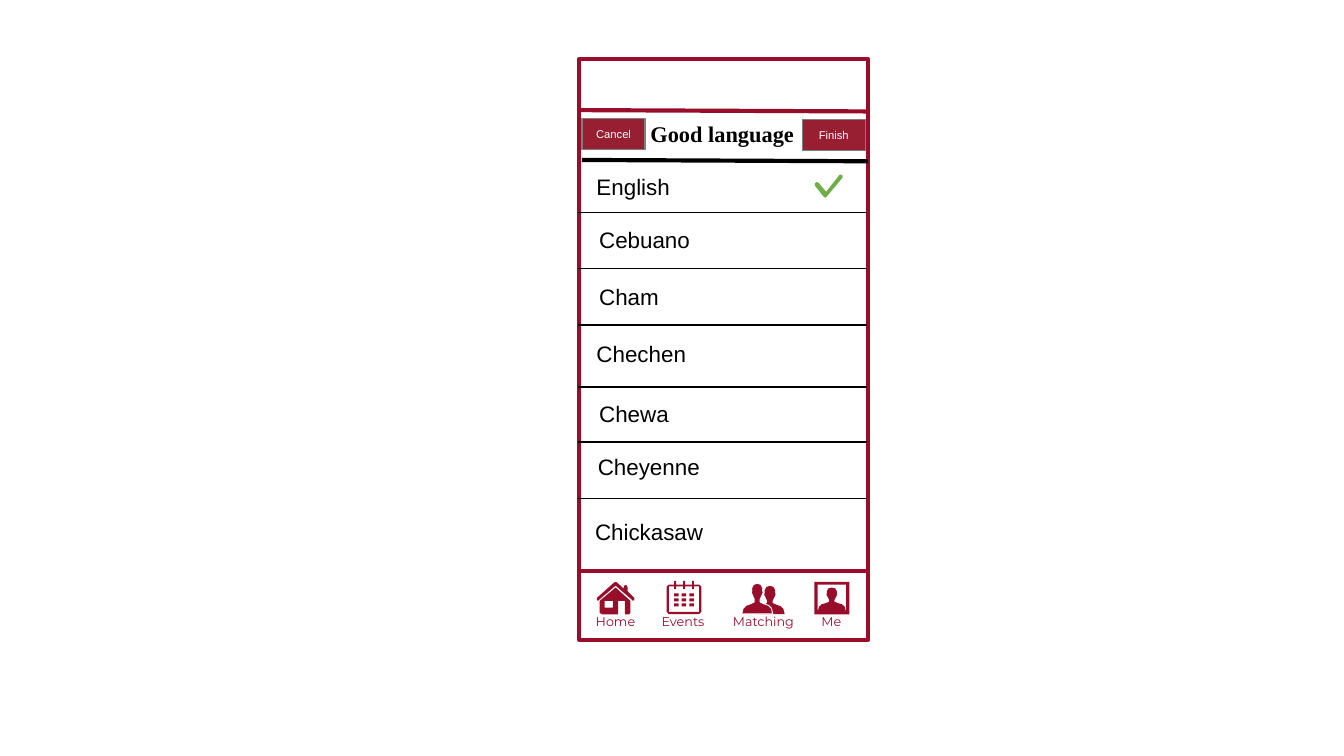
from lxml import etree
from pptx import Presentation
from pptx.dml.color import RGBColor
from pptx.enum.shapes import MSO_CONNECTOR, MSO_SHAPE
from pptx.enum.text import MSO_ANCHOR, MSO_AUTO_SIZE, PP_ALIGN
from pptx.oxml.ns import qn
from pptx.util import Pt

STRAIGHT = MSO_CONNECTOR.STRAIGHT
RECT = MSO_SHAPE.RECTANGLE
TOP, MIDDLE = MSO_ANCHOR.TOP, MSO_ANCHOR.MIDDLE
NO_FIT = MSO_AUTO_SIZE.NONE
LEFT, CENTER = PP_ALIGN.LEFT, PP_ALIGN.CENTER

RED, DARK, GRAY = "980E2A", "981E32", "7F7F7F"
BLACK, WHITE, GREEN = "000000", "FFFFFF", "70AD47"

# name, left, top of its text and the rule below it, within the list
ROWS = [
    ("English", 2.2, 3.6, 28.1),
    ("Cebuano", 3.6, 31.7, 58.3),
    ("Cham", 3.6, 62.6, 88.5),
    ("Chechen", 2.2, 92.9, 121.7),
    ("Chewa", 3.6, 125.3, 151.2),
    ("Cheyenne", 2.9, 153.3, 181.4),
    ("Chickasaw", 1.4, 188.6, None),
]
CHECK = [(14.2, 0), (13.4, 0.2), (6.3, 9.2), (2.2, 4.3), (1.2, 4), (0.2, 4.8),
         (0.2, 5.8), (5, 11.8), (5.8, 12.3), (6.6, 11.8), (15.1, 1.6), (15, 0.3)]
ROOF = [(20.2, 9.4), (19.4, 10.1), (18.7, 9.4), (10.1, 2), (1.4, 9.4), (0.7, 10.1),
        (0, 9.4), (0, 8.6), (9.4, 0.2), (10.1, 0), (10.8, 0.2), (14.4, 3.6),
        (14.4, 2.9), (15.1, 1.6), (16, 1.8), (16.5, 2.9), (16.5, 5), (20.2, 8.6)]
WALLS = [(18, 10.1), (18, 16.6), (17.3, 17.3), (15.1, 17.3), (15.1, 10.1),
         (11.5, 10.1), (11.5, 17.3), (2.9, 17.3), (1.6, 16.6), (1.6, 10.1), (10.1, 3)]
HALF = [(0, 0), (2, 0.6), (3, 2.6), (2.9, 4), (3.2, 5), (2.4, 6.8), (1.6, 8.6),
        (1.6, 10), (3.6, 11), (6, 11.8), (7.6, 13.4), (8.3, 16.4)]


def color(code):
    return RGBColor.from_string(code)


def write(shape, text, font, size, code, align=LEFT, anchor=TOP, bold=False):
    frame = shape.text_frame
    frame.text = text
    frame.vertical_anchor = anchor
    para = frame.paragraphs[0]
    para.alignment = align
    style = para.runs[0].font
    style.name, style.size, style.bold = font, Pt(size), bold
    style.color.rgb = color(code)


def paint(shape, fill, edge=None, width=0.75):
    shape.shadow.inherit = False
    shape.fill.solid()
    shape.fill.fore_color.rgb = color(fill)
    if edge:
        shape.line.color.rgb = color(edge)
        shape.line.width = Pt(width)
    else:
        shape.line.fill.background()


def block(shapes, x, y, w, h, fill, edge=None, width=0.75):
    shape = shapes.add_shape(RECT, Pt(x), Pt(y), Pt(w), Pt(h))
    paint(shape, fill, edge, width)
    return shape


def rule(shapes, x, y, w, code, width, drop=0):
    line = shapes.add_connector(STRAIGHT, Pt(x), Pt(y), Pt(x + w), Pt(y + drop))
    line.line.color.rgb = color(code)
    line.line.width = Pt(width)
    etree.SubElement(line.element.spPr, qn("a:effectLst"))


def label(shapes, x, y, w, h, text, font, size, code):
    box = shapes.add_textbox(Pt(x), Pt(y), Pt(w), Pt(h))
    write(box, text, font, size, code)
    return box


def outline(shapes, x, y, rings, fill, edge=None, width=0.75):
    """Draw closed rings as one shape; a ring inside another is a hole."""
    rings = [[(Pt(x + a), Pt(y + b)) for a, b in ring] for ring in rings]
    pen = shapes.build_freeform(*rings[0][0], scale=1.0)
    for i, ring in enumerate(rings):
        if i:
            pen.move_to(*ring[0])
        pen.add_line_segments(ring[1:], close=True)
    paint(pen.convert_to_shape(), fill, edge, width)


def oblong(x, y, w, h):
    return [(x, y), (x + w, y), (x + w, y + h), (x, y + h)]


def bust(x, y, wide=1.0, high=1.0):
    """Mirror the half profile about x."""
    right = [(x + a * wide, y + b * high) for a, b in HALF]
    return right + [(2 * x - a, b) for a, b in reversed(right[1:])]


def home(shapes, x, y):
    outline(shapes, x, y, [ROOF, WALLS, oblong(4.3, 10.1, 4.3, 3.6)], RED)


def events(shapes, x, y):
    def pegs(base, tip):
        return [(a + d, b) for a in (4.1, 8.9, 13.7)
                for d, b in ((0, base), (0, tip), (1, tip), (1, base))]

    page = [(0, 3.4), (1.2, 2.2), *pegs(2.2, 0.2), (17.5, 2.2), (18.7, 3.4),
            (18.7, 16.8), (17.5, 18), (1.2, 18), (0, 16.8)]
    inner = [(1.2, 3.2), *pegs(3.2, 4.6), (17.5, 3.2), (17.5, 16.8), (1.2, 16.8)]
    outline(shapes, x, y, [page, inner], RED)
    for row in range(3):
        for col in range(3):
            block(shapes, x + 4 + 4.1 * col, y + 6.9 + 2.7 * row, 2.4, 1.6, RED)


def match(shapes, x, y):
    outline(shapes, x, y, [bust(15.1, 1.4, 0.95, 0.92)], RED)
    outline(shapes, x, y, [bust(8.3, 0)], RED, WHITE, 0.5)


def me(shapes, x, y):
    rings = [oblong(0, 0, 18.7, 17.3), oblong(1.7, 1.4, 15.3, 14.2),
             bust(9.35, 3, 0.9, 0.76)]
    outline(shapes, x, y, rings, RED)


# name, icon, icon left and top, text left and width, within the bar
TABS = [
    ("Home", home, 9.4, 5.8, 3.6, 32.4),
    ("Events", events, 46.8, 5, 38.9, 37.4),
    ("Matching", match, 87.1, 6.5, 77.1, 49),
    ("Me", me, 126, 5.8, 124.6, 21.6),
]


def header(slide, x, y, w):
    shapes, title = slide.shapes, slide.shapes.title
    rule(shapes, x + 0.7, y, w - 0.7, RED, 2.25, 0.7)
    title.left, title.top = Pt(x - 13.7), Pt(y + 1.5)
    title.width, title.height = Pt(180.7), Pt(21.6)
    title.text_frame.auto_size = NO_FIT
    write(title, "Good language", "Times New Roman", 12, BLACK, CENTER, TOP, True)
    for text, dx, dy in (("Cancel", 1.5, 4.4), ("Finish", 119.5, 5.1)):
        key = block(shapes, x + dx, y + dy, 33.8, 16.6, DARK, GRAY)
        write(key, text, "Arial", 6, WHITE, CENTER, MIDDLE)


def choices(shapes, x, y, w):
    rule(shapes, x + 1.5, y, w - 1.5, BLACK, 2.25, 0.7)
    for name, dx, dy, end in ROWS:
        label(shapes, x + dx, y + dy, 83.5, 21.6, name, "Arial", 12, BLACK)
        if end:
            rule(shapes, x - 0.4, y + end, w, BLACK, 0.75)
    outline(shapes, x + 126, y + 7.9, [CHECK], GREEN)


def bar(shapes, x, y, w):
    rule(shapes, x, y, w, RED, 2.25)
    for name, icon, dx, dy, tx, tw in TABS:
        group = shapes.add_group_shape().shapes
        icon(group, x + dx, y + dy)
        box = label(group, x + tx, y + 20.2, tw, 13.7, name, "Montserrat", 6.8, RED)
        frame = box.text_frame
        frame.word_wrap = False
        frame.margin_left = frame.margin_right = Pt(5.2)
        frame.margin_top = frame.margin_bottom = Pt(2.6)


def phone(slide, x, y, w, h):
    case = block(slide.shapes, x, y, w, h, WHITE, RED, 2.25)
    slide.shapes.title.element.addprevious(case.element)
    header(slide, x, y + 27.3, w)
    choices(slide.shapes, x, y + 54, w)
    bar(slide.shapes, x, y + 274.3, w)


def main():
    deck = Presentation()
    deck.slide_width, deck.slide_height = Pt(720), Pt(405)
    slide = deck.slides.add_slide(deck.slide_layouts[5])
    phone(slide, 310.3, 31.7, 154.8, 311)
    deck.save("out.pptx")


if __name__ == "__main__":
    main()
